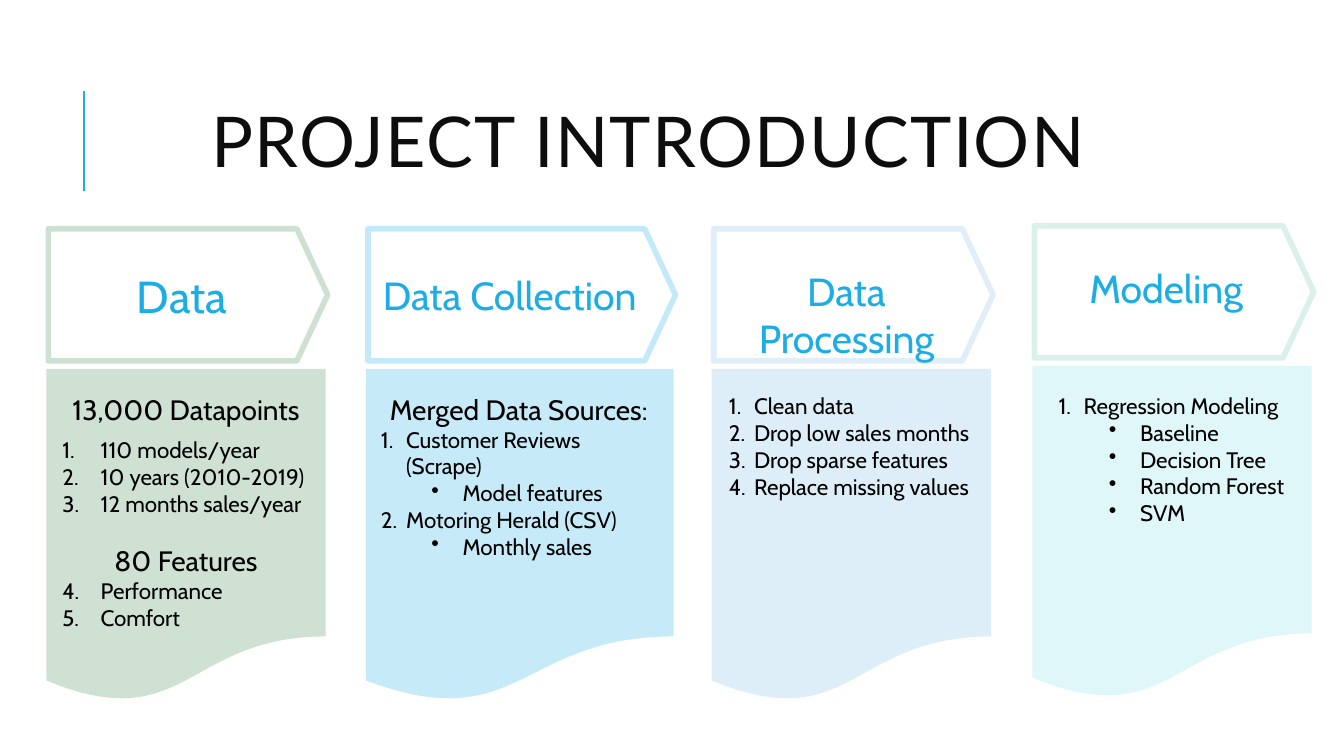
import dataclasses

import pptx
import pptx.dml.color
import pptx.enum.shapes
import pptx.enum.text
import pptx.oxml.ns
import pptx.oxml.xmlchemy
import pptx.util
from lxml import etree

SHAPES = pptx.enum.shapes.MSO_SHAPE
ALIGN = pptx.enum.text.PP_ALIGN
ANCHOR = pptx.enum.text.MSO_ANCHOR
FIT = pptx.enum.text.MSO_AUTO_SIZE
qn = pptx.oxml.ns.qn

WIDTH = pptx.util.Inches(13.33)
HEIGHT = pptx.util.Inches(7.5)
ARROW_TOP, ARROW_HEIGHT, ARROW_SHIFT = 30.27, 17.47, 0.15
PAGE_TOP, PAGE_HEIGHT = 48.8, 44.13
BODY_TOP, BODY_MARGIN = 51.2, 0.9
LABEL_HEIGHT = 7.6


@dataclasses.dataclass(frozen=True)
class Theme:
    title_font: str = "Lato"
    body_font: str = "Cabin"
    accent: str = "1CADE4"
    title: str = "0D0D0D"
    text: str = "000000"
    green: str = "3E8853"
    pale_blue: str = "D1E7F6"
    pale_blue_line: str = "DFEEF9"
    pale_mint: str = "D4F5F7"
    pale_mint_line: str = "D9F1EA"
    title_size: int = 50
    label_size: int = 28
    large_label_size: int = 32
    heading_size: int = 20
    item_size: int = 16


THEME = Theme()


@dataclasses.dataclass(frozen=True)
class Stage:
    label: str
    left: float
    width: float
    label_left: float
    label_top: float
    body_left: float
    body_height: float
    fill: str
    fill_alpha: int
    line: str
    line_alpha: int
    body: tuple
    label_size: int = THEME.label_size
    lift: float = 0


def heading(text, before=0):
    return {"text": text, "size": THEME.heading_size,
            "format": {"alignment": ALIGN.CENTER,
                       "space_before": pptx.util.Pt(before)}}


def number(text, indent=0.25, start=1, before=0):
    return {"text": text, "size": THEME.item_size, "indent": (indent, -indent),
            "bullet": ("a:buAutoNum", {"type": "arabicPeriod", "startAt": str(start)}),
            "format": {"space_before": pptx.util.Pt(before)}}


def bullet(text):
    return {"text": text, "size": THEME.item_size, "indent": (0.81, -0.31),
            "bullet": ("a:buChar", {"char": "•"}), "format": {"level": 1}}


STAGES = (
    Stage("Data", 3.45, 20.78, 3.15, 34.87, 3.9, 41.33,
          THEME.green, 25, THEME.green, 25,
          (heading("13,000 Datapoints"),
           number("110 models/year", 0.38, before=7.3),
           number("10 years (2010-2019)", 0.38),
           number("12 months sales/year", 0.38),
           heading("80 Features", before=19.4),
           number("Performance", 0.38, 4),
           number("Comfort", 0.38, 4)),
          label_size=THEME.large_label_size),
    Stage("Data Collection", 27.23, 22.88, 26.48, 35.2, 27.61, 29.2,
          THEME.accent, 25, THEME.accent, 25,
          (heading("Merged Data Sources:"),
           number("Customer Reviews (Scrape)"),
           bullet("Model features"),
           number("Motoring Herald (CSV)"),
           bullet("Monthly sales"))),
    Stage("Data Processing", 52.96, 20.78, 52.59, 34.67, 53.49, 15.73,
          THEME.pale_blue, 70, THEME.pale_blue_line, 100,
          (number("Clean data"),
           number("Drop low sales months"),
           number("Drop sparse features"),
           number("Replace missing values"))),
    Stage("Modeling", 76.82, 20.78, 76.37, 34.27, 78.02, 19.33,
          THEME.pale_mint, 70, THEME.pale_mint_line, 100,
          (number("Regression Modeling"),
           bullet("Baseline"),
           bullet("Decision Tree"),
           bullet("Random Forest"),
           bullet("SVM")),
          lift=0.4),
)


def across(share):
    return round(WIDTH * share / 100)


def down(share):
    return round(HEIGHT * share / 100)


def box(left, top, width, height):
    return across(left), down(top), across(width), down(height)


def apply_format(target, values):
    for name, value in values.items():
        setattr(target, name, value)


def color(value):
    return pptx.dml.color.RGBColor.from_string(value)


def paint(fill, value):
    fill.solid()
    fill.fore_color.rgb = color(value)


def set_alpha(shape, percent):
    for element in shape.element.spPr.iter(qn("a:srgbClr")):
        etree.SubElement(element, qn("a:alpha"), val=str(percent * 1000))


def add_run(paragraph, text, font, size, value):
    run = paragraph.add_run()
    run.text = text
    apply_format(run.font, {"name": font, "size": pptx.util.Pt(size)})
    run.font.color.rgb = color(value)
    return run


def set_bullet(paragraph, indent, marker):
    properties = paragraph._p.get_or_add_pPr()
    for name, inches in zip(("marL", "indent"), indent):
        properties.set(name, str(pptx.util.Inches(inches)))
    tag, attributes = marker
    etree.SubElement(properties, qn(tag), attributes)


def add_text(slide, place, entries, value):
    frame = slide.shapes.add_textbox(*place).text_frame
    apply_format(frame, {"word_wrap": True, "auto_size": FIT.SHAPE_TO_FIT_TEXT})
    for index, entry in enumerate(entries):
        paragraph = frame.add_paragraph() if index else frame.paragraphs[0]
        apply_format(paragraph, entry["format"])
        if "bullet" in entry:
            set_bullet(paragraph, entry["indent"], entry["bullet"])
        add_run(paragraph, entry["text"], THEME.body_font, entry["size"], value)


def add_arrow(slide, stage):
    arrow = slide.shapes.add_shape(SHAPES.PENTAGON, *box(
        stage.left + ARROW_SHIFT, ARROW_TOP - stage.lift, stage.width, ARROW_HEIGHT))
    arrow.shadow.inherit = False
    arrow.adjustments[0] = 0.233
    arrow.fill.background()
    paint(arrow.line.fill, stage.line)
    arrow.line.width = pptx.util.Pt(4)
    set_alpha(arrow, stage.line_alpha)


def add_page(slide, stage):
    page = slide.shapes.add_shape(SHAPES.FLOWCHART_DOCUMENT, *box(
        stage.left, PAGE_TOP - stage.lift, stage.width, PAGE_HEIGHT))
    page.shadow.inherit = False
    page.line.fill.background()
    paint(page.fill, stage.fill)
    set_alpha(page, stage.fill_alpha)


def add_stage(slide, stage):
    add_arrow(slide, stage)
    label = {"text": stage.label, "size": stage.label_size,
             "format": {"alignment": ALIGN.CENTER}}
    add_text(slide, box(stage.label_left, stage.label_top, stage.width, LABEL_HEIGHT),
             [label], THEME.accent)
    add_page(slide, stage)
    add_text(slide, box(stage.body_left, BODY_TOP, stage.width - BODY_MARGIN,
                        stage.body_height), stage.body, THEME.text)


def add_rule(slide):
    rule = slide.shapes.add_connector(
        pptx.enum.shapes.MSO_CONNECTOR.STRAIGHT,
        across(6.23), down(25.33), across(6.23), down(12))
    paint(rule.line.fill, THEME.accent)
    rule.line.width = pptx.util.Pt(1.5)
    etree.SubElement(rule.element.spPr, qn("a:effectLst"))


def set_title(slide, text):
    title = slide.shapes.title
    apply_format(title, dict(zip(("left", "top", "width", "height"),
                                 box(8.4, 8.53, 79.74, 21.87))))
    apply_format(title.text_frame, {"vertical_anchor": ANCHOR.MIDDLE,
                                    "word_wrap": True, "auto_size": FIT.NONE})
    paragraph = title.text_frame.paragraphs[0]
    apply_format(paragraph, {"alignment": ALIGN.CENTER, "line_spacing": 0.8})
    run = add_run(paragraph, text, THEME.title_font, THEME.title_size, THEME.title)
    run.font._element.set("spc", "100")


def main():
    presentation = pptx.Presentation()
    apply_format(presentation, {"slide_width": WIDTH, "slide_height": HEIGHT})
    slide = presentation.slides.add_slide(presentation.slide_layouts[5])
    add_rule(slide)
    set_title(slide, "PROJECT INTRODUCTION")
    for stage in STAGES:
        add_stage(slide, stage)
    presentation.save("out.pptx")


main()
